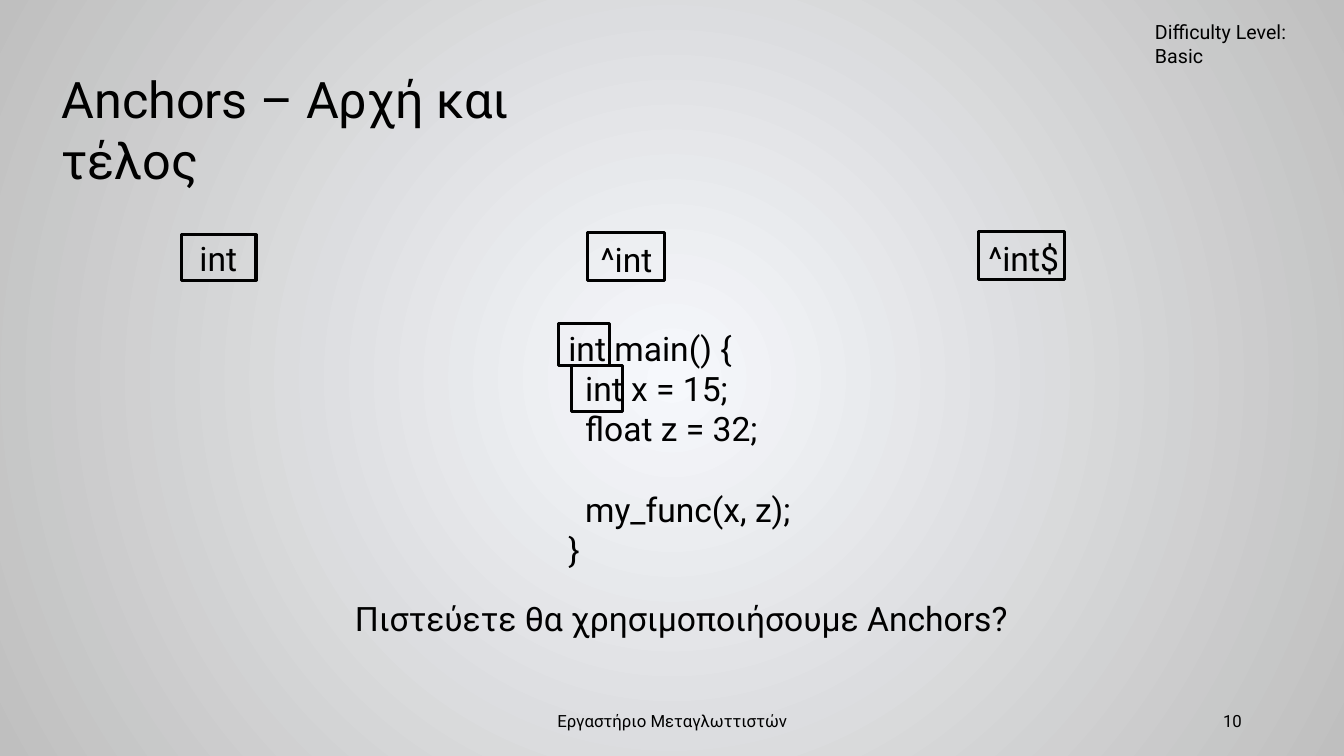
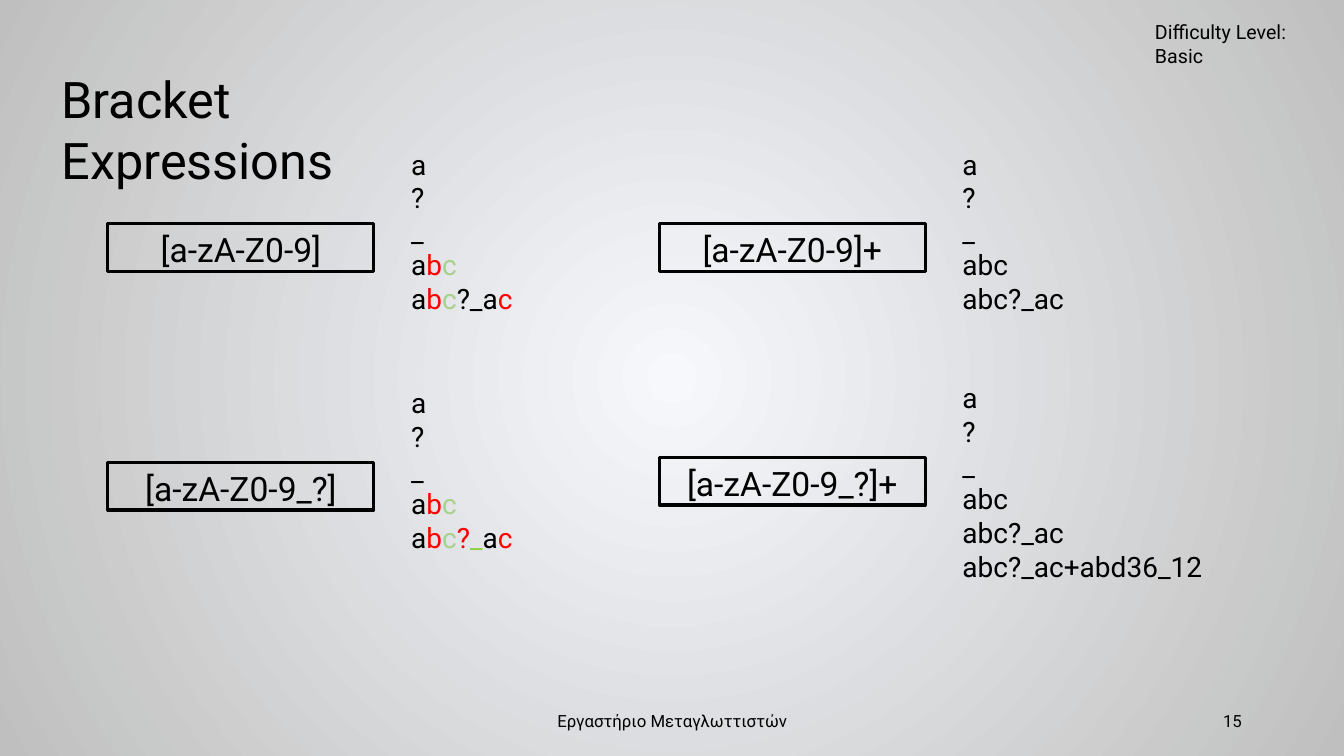
from pptx import Presentation
from pptx.dml.color import RGBColor
from pptx.enum.shapes import MSO_SHAPE
from pptx.enum.text import MSO_ANCHOR, MSO_AUTO_SIZE, PP_ALIGN
from pptx.oxml import parse_xml
from pptx.oxml.ns import nsdecls
from pptx.util import Pt

FONT = "Roboto"
BLACK = "000000"
RED = "FF0000"
GREEN = "A9D18E"
BRIGHT_GREEN = "92D050"
BACKGROUND_STOPS = ("F6F8FC", "BFBFBF")
TITLE_ONLY = 5


def color(value):
    return RGBColor.from_string(value)


def set_background(master):
    fill = master.background.fill
    fill.gradient()
    for stop, value in zip(fill.gradient_stops, BACKGROUND_STOPS):
        stop.color.rgb = color(value)
    linear = master.element.xpath(".//p:bg//a:lin")[0]
    radial = parse_xml(
        f'<a:path {nsdecls("a")} path="circle">'
        '<a:fillToRect l="50000" t="50000" r="50000" b="50000"/></a:path>'
    )
    linear.getparent().replace(linear, radial)


def add_run(paragraph, text, size, value=BLACK):
    run = paragraph.add_run()
    run.text = text
    run.font.name = FONT
    run.font.size = Pt(size)
    run.font.color.rgb = color(value)


def prepare_frame(shape, anchor=MSO_ANCHOR.TOP):
    frame = shape.text_frame
    frame.word_wrap = True
    frame.auto_size = MSO_AUTO_SIZE.NONE
    frame.vertical_anchor = anchor
    return frame


def add_text(slide, box, lines, size, align=PP_ALIGN.LEFT, anchor=MSO_ANCHOR.TOP):
    shape = slide.shapes.add_textbox(*map(Pt, box))
    frame = prepare_frame(shape, anchor)
    for index, runs in enumerate(lines):
        paragraph = frame.add_paragraph() if index else frame.paragraphs[0]
        paragraph.alignment = align
        for text, value in runs:
            add_run(paragraph, text, size, value)
    return frame


def plain(*lines):
    return [[(line, BLACK)] for line in lines]


def add_outline(slide, box):
    shape = slide.shapes.add_shape(MSO_SHAPE.RECTANGLE, *map(Pt, box))
    shape.shadow.inherit = False
    shape.fill.background()
    shape.line.color.rgb = color(BLACK)
    shape.line.width = Pt(2.25)


def add_titled_slide(presentation, title, title_width, number):
    slide = presentation.slides.add_slide(presentation.slide_layouts[TITLE_ONLY])
    shape = slide.shapes.title
    shape.left, shape.top = Pt(36.72), Pt(45.36)
    shape.width, shape.height = Pt(title_width), Pt(51.12)
    paragraph = prepare_frame(shape).paragraphs[0]
    paragraph.alignment = PP_ALIGN.LEFT
    add_run(paragraph, title, 36)
    add_text(slide, (817.92, 10.8, 142.56, 24.48), plain("Difficulty Level: Basic"), 14)
    add_text(slide, (318.24, 500.4, 324, 28.8), plain("Εργαστήριο Μεταγλωττιστών"),
             12, PP_ALIGN.CENTER, MSO_ANCHOR.MIDDLE)
    add_text(slide, (678.24, 500.4, 216, 28.8), plain(number),
             12, PP_ALIGN.RIGHT, MSO_ANCHOR.MIDDLE)
    return slide


def add_code(slide):
    frame = add_text(slide, (398.88, 230.4, 176.4, 181.44), plain(
        "int main() {", "int x = 15;", "float z = 32;", "my_func(x, z);", "}"), 24)
    body = frame.paragraphs[1:4]
    for paragraph in body:
        paragraph._p.get_or_add_pPr().set("marL", str(Pt(12)))
    body[-1].space_before = Pt(28.8)


def add_anchors_slide(presentation):
    slide = add_titled_slide(presentation, "Anchors – Αρχή και τέλος", 429.12, "10")
    add_code(slide)
    patterns = (
        ("int", 116.64, 166.32, (129.6, 167.76, 53.28, 32.4)),
        ("^int", 408.24, 167.04, (419.76, 166.32, 54.72, 33.84)),
        ("^int$", 691.92, 166.32, (699.12, 165.6, 61.2, 33.84)),
    )
    for pattern, left, top, outline in patterns:
        add_text(slide, (left, top, 78.48, 36), plain(pattern), 24, PP_ALIGN.CENTER)
        add_outline(slide, outline)
    add_outline(slide, (398.88, 231.12, 36.72, 30.24))
    add_outline(slide, (408.24, 261.36, 36.72, 32.4))
    add_text(slide, (167.76, 423.36, 637.92, 36),
             plain("Πιστεύετε θα χρησιμοποιήσουμε Anchors?"), 24, PP_ALIGN.CENTER)


def add_pattern_panel(slide, left, top, pattern, samples, samples_width):
    samples_height = 8 + 24.2 * len(samples)
    add_text(slide, (left + 209.52, top - 58.32, samples_width, samples_height), samples, 20)
    add_text(slide, (left, top, 190.08, 36), plain(pattern), 24, PP_ALIGN.CENTER)
    add_outline(slide, (left, top, 190.08, 33.84))


def add_brackets_slide(presentation):
    slide = add_titled_slide(presentation, "Bracket Expressions", 331.92, "15")
    singles = plain("a", "?", "_")
    abc = [("a", BLACK), ("b", RED), ("c", GREEN)]
    last = [("a", BLACK), ("c", RED)]
    letters = singles + [abc, abc + [("?_", BLACK)] + last]
    symbols = singles + [abc, abc + [("?", RED), ("_", BRIGHT_GREEN)] + last]
    words = singles + plain("abc", "abc?_ac")
    left, right = 77.04, 470.88
    add_pattern_panel(slide, left, 159.84, "[a-zA-Z0-9]", letters, 125.28)
    add_pattern_panel(slide, left, 330.48, "[a-zA-Z0-9_?]", symbols, 125.28)
    add_pattern_panel(slide, right, 159.84, "[a-zA-Z0-9]+", words, 125.28)
    add_pattern_panel(slide, right, 326.88, "[a-zA-Z0-9_?]+",
                      words + plain("abc?_ac+abd36_12"), 190.08)


def main():
    presentation = Presentation()
    presentation.slide_width, presentation.slide_height = Pt(960), Pt(540)
    set_background(presentation.slide_master)
    add_anchors_slide(presentation)
    add_brackets_slide(presentation)
    presentation.save("out.pptx")


main()
